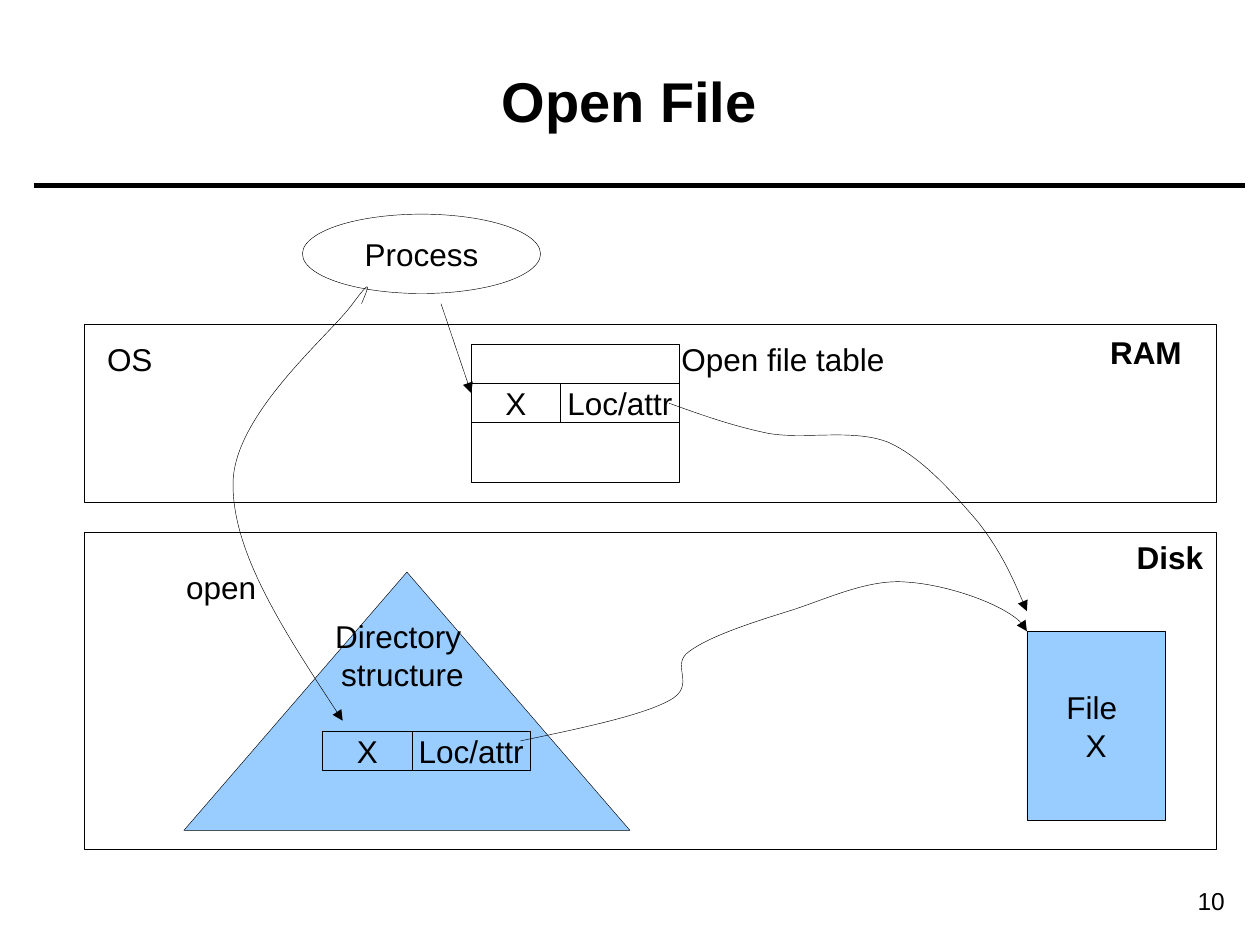
from dataclasses import dataclass

from pptx import Presentation
from pptx.dml.color import RGBColor
from pptx.enum.shapes import MSO_CONNECTOR, MSO_SHAPE
from pptx.enum.text import MSO_ANCHOR, MSO_AUTO_SIZE, PP_ALIGN
from pptx.oxml.ns import qn
from pptx.oxml.xmlchemy import OxmlElement
from pptx.util import Inches, Pt


@dataclass(frozen=True)
class Theme:
    font: str = "Arial"
    ink: RGBColor = RGBColor(0, 0, 0)
    accent: RGBColor = RGBColor(0x99, 0xCC, 0xFF)
    title_size: int = 32
    body_size: int = 18
    number_size: int = 14
    thin: float = 0.25
    thick: float = 3


THEME = Theme()
WIDTH, HEIGHT = Inches(10), Inches(7.5)
COLUMNS = 100  # square grid: 100 columns by 75 rows
CELL = WIDTH // COLUMNS
ROW_HEIGHT = 3.15
NAME_WIDTH, LOCATION_WIDTH = 7.1, 9.4


def grid(*cells):
    """Turn columns and rows into slide lengths."""
    return [round(cell * CELL) for cell in cells]


def write(shape, text, size=THEME.body_size, bold=False, align=PP_ALIGN.CENTER,
          anchor=MSO_ANCHOR.MIDDLE, wrap=False):
    frame = shape.text_frame
    frame.text = text
    frame.word_wrap = wrap
    frame.vertical_anchor = anchor
    for paragraph in frame.paragraphs:
        paragraph.alignment = align
        for run in paragraph.runs:
            run.font.name = THEME.font
            run.font.size = Pt(size)
            run.font.bold = bold
            run.font.color.rgb = THEME.ink


def add_text(slide, box, text, **style):
    shape = slide.shapes.add_textbox(*grid(*box))
    write(shape, text, **style)
    return shape


def add_label(slide, box, text, bold=False):
    """Add an unwrapped text that its box grows to hold."""
    label = add_text(slide, box, text, bold=bold, anchor=MSO_ANCHOR.TOP)
    label.text_frame.auto_size = MSO_AUTO_SIZE.SHAPE_TO_FIT_TEXT


def draw_outline(shape, width=THEME.thin):
    shape.line.color.rgb = THEME.ink
    shape.line.width = Pt(width)


def add_outlined(slide, kind, box, text="", fill=None):
    shape = slide.shapes.add_shape(kind, *grid(*box))
    shape.shadow.inherit = False
    if fill is None:
        shape.fill.background()
    else:
        shape.fill.solid()
        shape.fill.fore_color.rgb = fill
    draw_outline(shape)
    if text:
        write(shape, text)


def add_entry(slide, left, top):
    """Add a file name cell with its location cell beside it."""
    rectangle = MSO_SHAPE.RECTANGLE
    add_outlined(slide, rectangle, (left, top, NAME_WIDTH, ROW_HEIGHT), "X")
    add_outlined(slide, rectangle,
                 (left + NAME_WIDTH, top, LOCATION_WIDTH, ROW_HEIGHT), "Loc/attr")


def add_arrowhead(shape):
    tail = OxmlElement("a:tailEnd")
    tail.set("type", "triangle")
    shape.line._get_or_add_ln().append(tail)


def add_straight(slide, start, end, width=THEME.thin, arrow=False):
    line = slide.shapes.add_connector(MSO_CONNECTOR.STRAIGHT, *grid(*start, *end))
    draw_outline(line, width)
    if arrow:
        add_arrowhead(line)
    line._element.spPr.append(OxmlElement("a:effectLst"))


def add_curve(slide, start, *points):
    """Add an arrow of cubic curves; every three points make one curve."""
    builder = slide.shapes.build_freeform(*grid(*start), scale=1.0)
    builder.add_line_segments([tuple(grid(*point)) for point in points], close=False)
    shape = builder.convert_to_shape()
    shape.shadow.inherit = False
    shape.fill.background()
    draw_outline(shape)
    add_arrowhead(shape)

    segments = list(shape._element.iter(qn("a:lnTo")))
    for first in range(0, len(segments), 3):
        curve = OxmlElement("a:cubicBezTo")
        segments[first].addprevious(curve)
        for segment in segments[first:first + 3]:
            curve.append(segment[0])
            segment.getparent().remove(segment)


def add_heading(slide):
    add_straight(slide, (2.7, 14.7), (98.8, 14.7), THEME.thick)
    add_text(slide, (3.5, 1.7, 92.9, 12.5), "Open File",
             size=THEME.title_size, bold=True, wrap=True)
    add_text(slide, (87.8, 69.8, 10.4, 3.4), "10", size=THEME.number_size,
             align=PP_ALIGN.RIGHT, anchor=MSO_ANCHOR.TOP, wrap=True)


def add_disk(slide):
    rectangle = MSO_SHAPE.RECTANGLE
    add_outlined(slide, MSO_SHAPE.ISOSCELES_TRIANGLE, (14.6, 45.4, 35.4, 20.5),
                 fill=THEME.accent)
    add_outlined(slide, rectangle, (6.7, 42.2, 89.8, 25.2))
    add_outlined(slide, rectangle, (81.5, 50.1, 11, 15), "File \nX", THEME.accent)
    add_entry(slide, 25.6, 58)
    add_label(slide, (25.6, 48.5, 12.7, 7), "Directory \nstructure")
    add_label(slide, (89.2, 42.2, 7.3, 4), "Disk", bold=True)


def add_memory(slide):
    rectangle = MSO_SHAPE.RECTANGLE
    add_outlined(slide, rectangle, (6.7, 25.7, 89.8, 14.2))
    add_outlined(slide, MSO_SHAPE.OVAL, (24, 17, 18.9, 6.3), "Process")
    add_entry(slide, 37.4, 30.4)
    add_outlined(slide, rectangle,
                 (37.4, 27.3, NAME_WIDTH + LOCATION_WIDTH, 11))
    add_label(slide, (7.5, 26.5, 5.6, 4), "OS")
    add_label(slide, (53.1, 26.5, 18.1, 4), "Open file table")
    add_label(slide, (87.1, 25.9, 7.7, 4), "RAM", bold=True)


def add_links(slide):
    # Directory entry to file
    add_curve(slide, (41.3, 58.8),
              (46.1, 57.8), (50.9, 56.8), (53.1, 55.6),
              (55.4, 54.4), (53.1, 52.8), (54.7, 51.7),
              (56.3, 50.5), (59.7, 49.4), (62.6, 48.5),
              (65.5, 47.6), (68.9, 45.9), (72, 46.2),
              (75.2, 46.4), (81, 48.4), (81.5, 50.1))
    # Open file table to file
    add_curve(slide, (53.1, 32),
              (55.6, 32.9), (58.1, 33.8), (61, 34.4),
              (63.9, 34.9), (67.7, 34), (70.5, 35.1),
              (73.2, 36.3), (75.7, 39.2), (77.6, 41.4),
              (79.4, 43.7), (80.5, 46.1), (81.5, 48.5))
    # Process to directory entry
    add_curve(slide, (28.7, 24.1),
              (29.2, 22.9), (29.7, 21.8), (28, 24.1),
              (26.3, 26.5), (18.6, 32.8), (18.5, 38.3),
              (18.4, 43.8), (22.8, 50.5), (27.2, 57.2))
    add_straight(slide, (35, 24.1), (37.4, 31.2), arrow=True)
    add_label(slide, (13.7, 44.6, 7.7, 4), "open")


def main():
    presentation = Presentation()
    presentation.slide_width, presentation.slide_height = WIDTH, HEIGHT
    slide = presentation.slides.add_slide(presentation.slide_layouts[6])
    add_heading(slide)
    add_disk(slide)
    add_memory(slide)
    add_links(slide)
    presentation.save("out.pptx")


if __name__ == "__main__":
    main()
